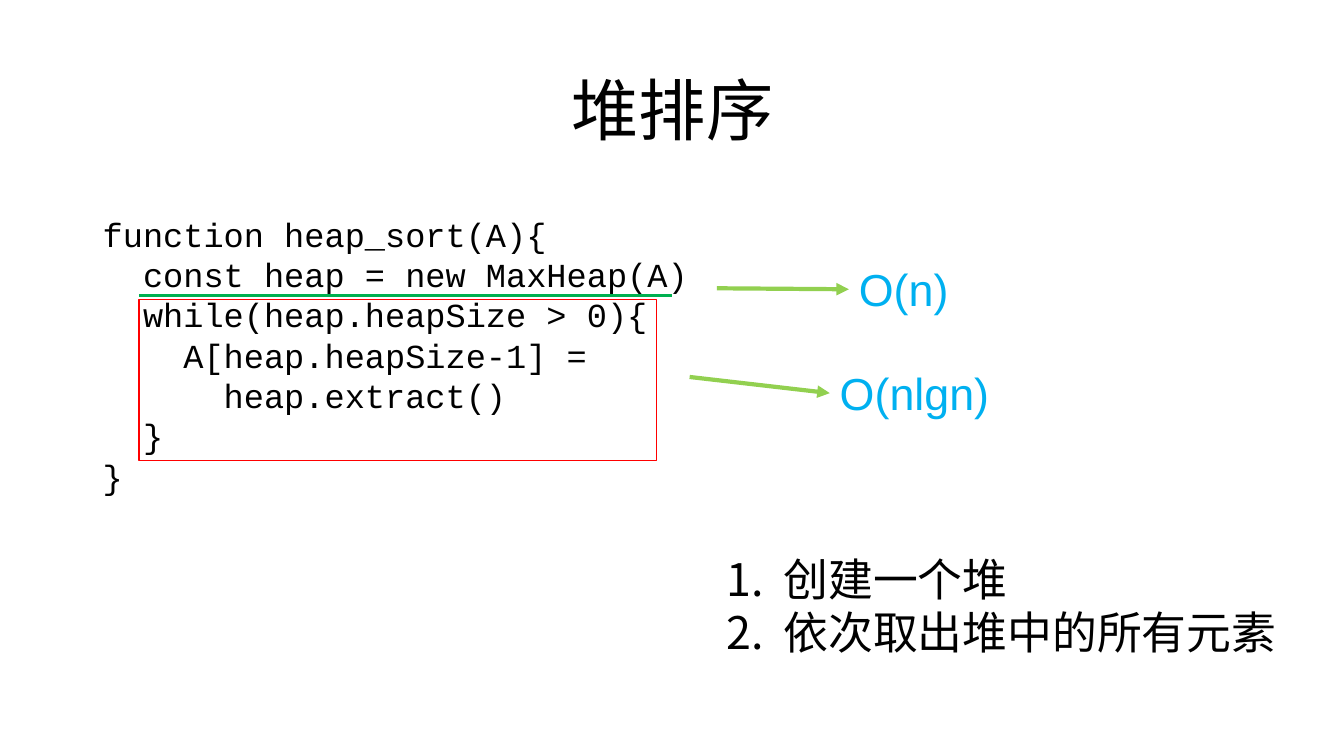
from dataclasses import dataclass

from pptx import Presentation
from pptx.dml.color import RGBColor
from pptx.enum.shapes import MSO_CONNECTOR, MSO_SHAPE
from pptx.enum.text import MSO_ANCHOR, MSO_AUTO_SIZE, PP_ALIGN
from pptx.oxml.ns import qn
from pptx.shapes.base import BaseShape
from pptx.slide import Slide
from pptx.util import Pt
from lxml.etree import SubElement

EMU_PER_PX = 9144  # 100 px to the inch


@dataclass(frozen=True)
class Theme:
    ink: str = "000000"
    cost: str = "00B0F0"
    arrow: str = "92D050"
    underline: str = "00B050"
    loop_frame: str = "FF0000"
    title_font: str = "Calibri"
    text_font: str = "Arial"
    code_font: str = "Courier New"
    title_size: int = 48
    text_size: int = 32
    code_size: int = 24


@dataclass(frozen=True)
class Box:
    left: int
    top: int
    width: int
    height: int


@dataclass(frozen=True)
class Line:
    start: tuple[int, int]
    end: tuple[int, int]
    color: str
    weight: int
    arrow: bool = False


@dataclass(frozen=True)
class Cost:
    label: str
    box: Box


THEME = Theme()

CODE = """function heap_sort(A){
  const heap = new MaxHeap(A)
  while(heap.heapSize > 0){
    A[heap.heapSize-1] =
      heap.extract()
  }
}"""
STEPS = "创建一个堆\n依次取出堆中的所有元素"

COSTS = [
    Cost("O(n)", Box(842, 255, 110, 64)),
    Cost("O(nlgn)", Box(823, 358, 182, 64)),
]
LINES = [
    Line((138, 293), (667, 293), THEME.underline, 2),
    Line((711, 286), (842, 287), THEME.arrow, 3, arrow=True),
    Line((684, 374), (823, 390), THEME.arrow, 3, arrow=True),
]
LOOP_FRAME = Box(138, 297, 513, 160)


def px(length: int) -> int:
    return length * EMU_PER_PX


def place(shape: BaseShape, box: Box) -> None:
    shape.left, shape.top = px(box.left), px(box.top)
    shape.width, shape.height = px(box.width), px(box.height)


def write(shape: BaseShape, text: str, *, font: str, size: int,
          color: str = THEME.ink, align: PP_ALIGN = PP_ALIGN.LEFT,
          anchor: MSO_ANCHOR = MSO_ANCHOR.TOP, spacing: float = 1.0,
          wrap: bool = False, numbered: bool = False) -> None:
    """Fill a shape with one paragraph per line of text."""
    frame = shape.text_frame
    frame.text = text
    frame.word_wrap = wrap
    frame.auto_size = MSO_AUTO_SIZE.NONE
    frame.vertical_anchor = anchor
    for paragraph in frame.paragraphs:
        paragraph.alignment = align
        paragraph.line_spacing = spacing
        paragraph.space_before = Pt(0)
        if numbered:
            number(paragraph._p.get_or_add_pPr())
        paragraph.font.name = font
        for run in paragraph.runs:
            run.font.name = font
            run.font.size = Pt(size)
            run.font.color.rgb = RGBColor.from_string(color)


def number(properties) -> None:
    """Number a paragraph 1., 2., ... with a hanging indent."""
    properties.set("marL", str(px(56)))
    properties.set("indent", str(-px(56)))
    SubElement(properties, qn("a:buFont"), typeface="+mj-ea")
    SubElement(properties, qn("a:buAutoNum"), type="arabicPeriod")


def add_text(slide: Slide, box: Box, text: str, **text_format) -> None:
    label = slide.shapes.add_textbox(0, 0, 0, 0)
    place(label, box)
    write(label, text, **text_format)


def add_line(slide: Slide, line: Line) -> None:
    connector = slide.shapes.add_connector(
        MSO_CONNECTOR.STRAIGHT, *map(px, line.start + line.end))
    connector.line.color.rgb = RGBColor.from_string(line.color)
    connector.line.width = Pt(line.weight)
    if line.arrow:
        SubElement(connector.line._get_or_add_ln(), qn("a:tailEnd"), type="triangle")
    SubElement(connector._element.spPr, qn("a:effectLst"))


def add_frame(slide: Slide, box: Box, color: str) -> None:
    frame = slide.shapes.add_shape(MSO_SHAPE.RECTANGLE, 0, 0, 0, 0)
    place(frame, box)
    frame.shadow.inherit = False
    frame.fill.background()
    frame.line.color.rgb = RGBColor.from_string(color)
    frame.line.width = Pt(1)


def main() -> None:
    deck = Presentation()
    deck.slide_width, deck.slide_height = px(1333), px(750)
    slide = deck.slides.add_slide(deck.slide_layouts[1])

    title, steps = slide.placeholders
    place(title, Box(92, 40, 1150, 145))
    write(title, "堆排序", font=THEME.title_font, size=THEME.title_size,
          align=PP_ALIGN.CENTER, anchor=MSO_ANCHOR.MIDDLE, spacing=0.9, wrap=True)
    add_text(slide, Box(92, 207, 645, 293), CODE,
             font=THEME.code_font, size=THEME.code_size)
    place(steps, Box(711, 542, 571, 118))
    write(steps, STEPS, font=THEME.text_font, size=THEME.text_size, numbered=True)

    for cost in COSTS:
        add_text(slide, cost.box, cost.label, font=THEME.text_font,
                 size=THEME.text_size, color=THEME.cost)
    for line in LINES:
        add_line(slide, line)
    add_frame(slide, LOOP_FRAME, THEME.loop_frame)

    deck.save("out.pptx")


if __name__ == "__main__":
    main()
